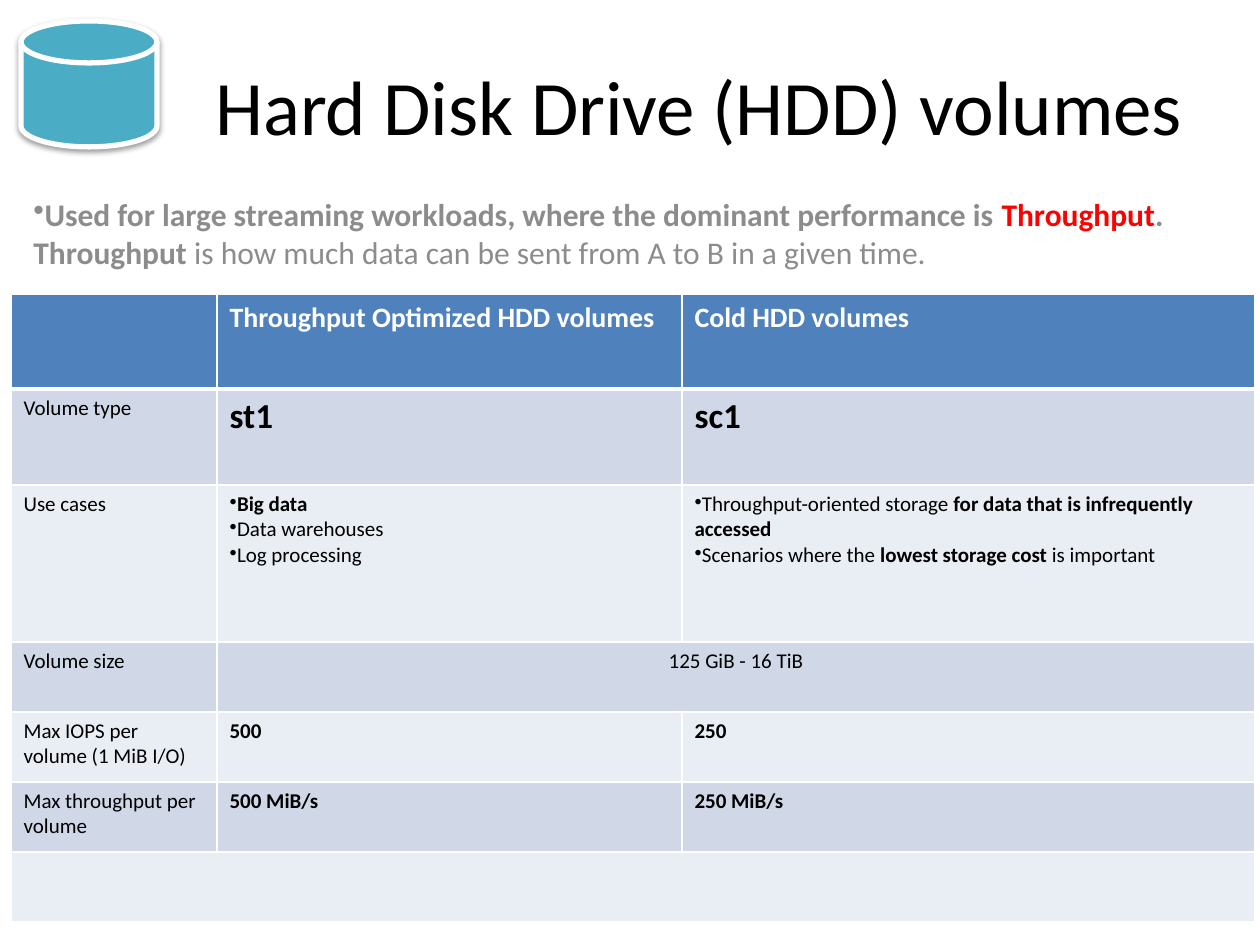
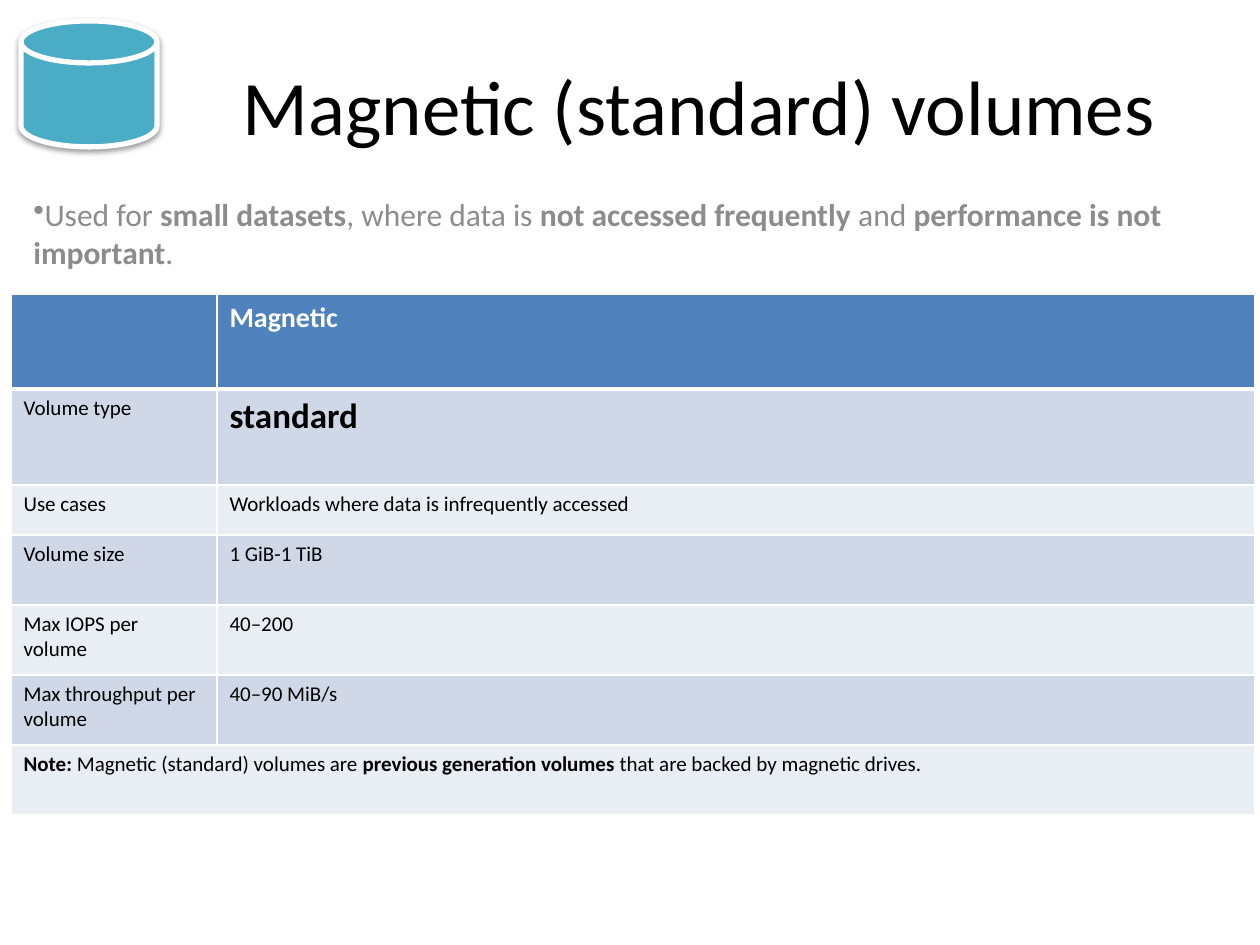
from lxml.etree import SubElement
from pptx import Presentation
from pptx.dml.color import RGBColor
from pptx.enum.shapes import MSO_SHAPE
from pptx.enum.text import MSO_ANCHOR, PP_ALIGN
from pptx.oxml.ns import qn
from pptx.util import Pt

# Content: "|" parts runs, "*" opens a bold run, "!" a bold red one,
# "•" opens a bullet line; None joins a cell to the one on its left
SLIDES = [
    {
        "title": "Hard Disk Drive (HDD) volumes",
        "intro": "•*Used for large streaming workloads, where the dominant "
                 "performance is |!Throughput|*. Throughput| is how much data "
                 "can be sent from A to B in a given time.",
        "cols": [206, 465, 573],
        "rows": [95, 96, 157, 70, 70, 70, 70],
        "cells": [
            ["", "*Throughput Optimized HDD volumes", "*Cold HDD volumes"],
            ["Volume type", "*st1", "*sc1"],
            ["Use cases",
             "•*Big data\n•Data warehouses\n•Log processing",
             "•Throughput-oriented storage |*for data that is infrequently "
             "accessed\n•Scenarios where the |*lowest storage cost |is important"],
            ["Volume size", "125 GiB - 16 TiB", None],
            ["Max IOPS per volume (1 MiB I/O)", "*500", "*250"],
            ["Max throughput per volume", "*500 MiB/s", "*250 MiB/s"],
            ["", None, None],
        ],
        "centred": (3, 1),
    },
    {
        "title": "Magnetic (standard) volumes",
        "intro": "•Used for |*small datasets|, where data is |*not accessed "
                 "frequently |and |*performance is not important|.",
        "cols": [206, 1038],
        "rows": [95, 96, 50, 70, 70, 70, 70],
        "cells": [
            ["", "*Magnetic"],
            ["Volume type", "*standard"],
            ["Use cases", "Workloads where data is infrequently accessed"],
            ["Volume size", "1 GiB-1 TiB"],
            ["Max IOPS per volume", "40–200"],
            ["Max throughput per volume", "40–90 MiB/s"],
            ["*Note: |Magnetic (standard) volumes are |*previous generation "
             "volumes |that are backed by magnetic drives.", None],
        ],
        "centred": None,
    },
]

# Shared style
FONT = "Calibri"
BLACK = RGBColor(0, 0, 0)
WHITE = RGBColor(255, 255, 255)
GREY = RGBColor(0x8C, 0x8C, 0x8C)
RED = RGBColor(255, 0, 0)
TEAL = RGBColor(0x4B, 0xAC, 0xC6)
BLUE = RGBColor(0x4F, 0x81, 0xBD)
BANDS = [RGBColor(0xE9, 0xED, 0xF4), RGBColor(0xD0, 0xD8, 0xE8)]
HEAD, TYPE = 0, 1  # header row and volume type row
SCALE = 914400 // 126


def px(*sizes):
    return [size * SCALE for size in sizes]


def write(frame, text, size, color, align=PP_ALIGN.LEFT, before=0):
    for i, line in enumerate(text.split("\n")):
        para = frame.paragraphs[0] if i == 0 else frame.add_paragraph()
        para.alignment = align
        para.space_before = Pt(before)
        if line.startswith("•"):
            props = para._p.get_or_add_pPr()
            props.set("marL", "0")
            props.set("indent", "0")
            SubElement(props, qn("a:buChar"), char="•")
        font = para.font
        font.name, font.size, font.color.rgb = FONT, Pt(size), color
        for part in line.lstrip("•").split("|"):
            if not part:
                continue
            run = para.add_run()
            run.text = part.lstrip("*!")
            run.font.bold = part[0] in "*!"
            if part[0] == "!":
                run.font.color.rgb = RED


def add_text(slide, box, text, size, color, **style):
    frame = slide.shapes.add_textbox(*px(*box)).text_frame
    frame.word_wrap = True
    write(frame, text, size, color, **style)
    return frame


def add_disk(slide):
    disk = slide.shapes.add_shape(
        MSO_SHAPE.FLOWCHART_MAGNETIC_DISK, *px(21, 21, 136, 126))
    disk.fill.solid()
    disk.fill.fore_color.rgb = TEAL
    disk.line.color.rgb = WHITE
    disk.line.width = Pt(3)
    # Soft shadow straight below
    disk.shadow.inherit = False
    effects = disk._element.spPr.find(qn("a:effectLst"))
    shade = SubElement(effects, qn("a:outerShdw"), blurRad="40000",
                       dist="20000", dir="5400000", rotWithShape="0")
    tint = SubElement(shade, qn("a:srgbClr"), val=str(BLACK))
    SubElement(tint, qn("a:alpha"), val="38000")


def paint(cell, row):
    # Borders go in ahead of the fill
    props = cell._tc.get_or_add_tcPr()
    for side in "LRTB":
        thick = (row, side) in [(HEAD, "B"), (TYPE, "T")]
        edge = SubElement(props, qn(f"a:ln{side}"),
                          w=str(Pt(3 if thick else 1)))
        fill = SubElement(edge, qn("a:solidFill"))
        SubElement(fill, qn("a:srgbClr"), val=str(WHITE))
    cell.fill.solid()
    cell.fill.fore_color.rgb = BLUE if row == HEAD else BANDS[row % 2]


def add_grid(slide, cols, rows, cells, centred):
    box = px(11, 294, sum(cols), sum(rows))
    grid = slide.shapes.add_table(len(rows), len(cols), *box).table
    for col, width in zip(grid.columns, px(*cols)):
        col.width = width
    for row, height in zip(grid.rows, px(*rows)):
        row.height = height
    for r, line in enumerate(cells):
        for c, text in enumerate(line):
            cell = grid.cell(r, c)
            paint(cell, r)
            if text is None:
                continue
            size = 16 if r == HEAD else 20 if r == TYPE and c else 12
            align = PP_ALIGN.CENTER if (r, c) == centred else PP_ALIGN.LEFT
            write(cell.text_frame, text, size,
                  WHITE if r == HEAD else BLACK, align=align)
        if None in line:
            start = line.index(None) - 1
            grid.cell(r, start).merge(grid.cell(r, len(line) - 1))


def main():
    deck = Presentation()
    deck.slide_width, deck.slide_height = px(1260, 945)
    for item in SLIDES:
        slide = deck.slides.add_slide(deck.slide_layouts[6])
        title = add_text(slide, (21, 21, 1218, 168), item["title"], 44,
                         BLACK, align=PP_ALIGN.CENTER)
        title.vertical_anchor = MSO_ANCHOR.MIDDLE
        title.margin_left = px(151)[0]  # keeps the title clear of the disk
        add_text(slide, (21, 189, 1218, 735), item["intro"], 18, GREY,
                 before=3.6)
        add_disk(slide)
        add_grid(slide, item["cols"], item["rows"], item["cells"],
                 item["centred"])
    deck.save("out.pptx")


if __name__ == "__main__":
    main()
